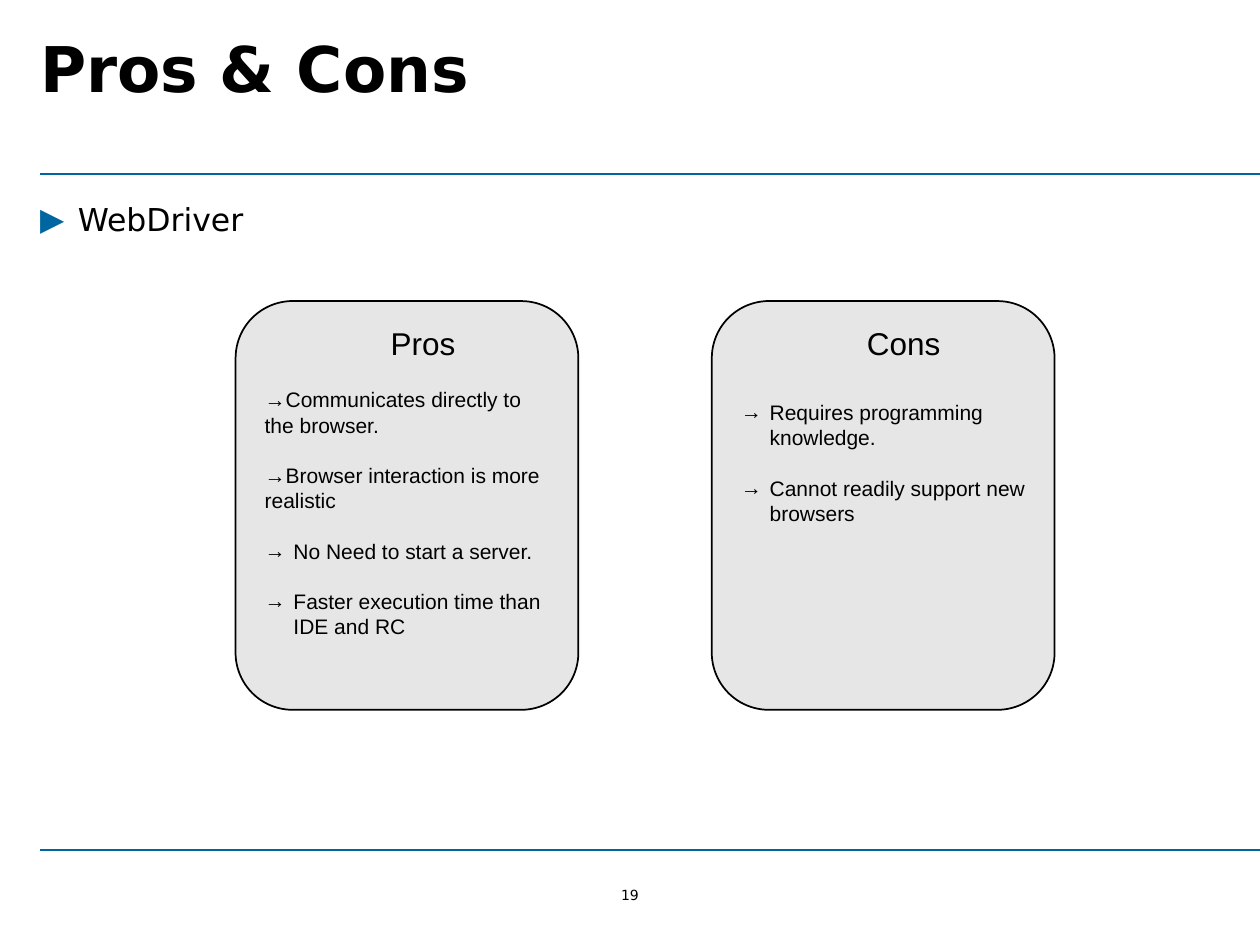
from lxml.etree import SubElement
from pptx import Presentation
from pptx.dml.color import RGBColor
from pptx.enum.shapes import MSO_CONNECTOR, MSO_SHAPE
from pptx.enum.text import MSO_ANCHOR, PP_ALIGN
from pptx.oxml.ns import qn
from pptx.util import Cm, Pt

BLUE = "0066A1"


def color(value):
    return RGBColor.from_string(value)


def add_text(paragraph, text, size, font="Arial", bold=False, before=0, left=0,
             hanging=0, bullet=None, bullet_color="000000", align=PP_ALIGN.LEFT):
    paragraph.alignment = align
    paragraph.space_before = Pt(before)
    run = paragraph.add_run()
    run.text = text
    run.font.size = Pt(size)
    run.font.name = font
    run.font.bold = bold
    run.font.color.rgb = color("000000")
    properties = paragraph._p.get_or_add_pPr()
    properties.set("marL", str(Cm(left)))
    properties.set("indent", str(-Cm(hanging)))
    if bullet:
        fill = SubElement(properties, qn("a:buClr"))
        SubElement(fill, qn("a:srgbClr"), val=bullet_color)
        SubElement(properties, qn("a:buFont"), typeface=font)
        SubElement(properties, qn("a:buChar"), char=bullet)


presentation = Presentation()
presentation.slide_width = Cm(25.4)
presentation.slide_height = Cm(19.05)
slide = presentation.slides.add_slide(presentation.slide_layouts[6])

for top in (3.5, 17.14):
    rule = slide.shapes.add_connector(
        MSO_CONNECTOR.STRAIGHT, Cm(0.81), Cm(top), Cm(25.4), Cm(top))
    rule.line.color.rgb = color(BLUE)
    rule.line.width = Pt(1.25)
    SubElement(rule._element.spPr, qn("a:effectLst"))

labels = [
    ("Pros & Cons", 0.81, 0.46, 24.1, 2.67, 0.13, MSO_ANCHOR.TOP,
     dict(size=36, bold=True)),
    ("WebDriver", 0.81, 4.04, 24.1, 12.6, 0, MSO_ANCHOR.TOP,
     dict(size=18, left=0.76, hanging=0.76, bullet="▶", bullet_color=BLUE)),
    ("19", 12.45, 17.88, 0.5, 0.33, 0, MSO_ANCHOR.MIDDLE,
     dict(size=8, align=PP_ALIGN.CENTER)),
]
for text, left, top, width, height, inset, anchor, style in labels:
    shape = slide.shapes.add_textbox(Cm(left), Cm(top), Cm(width), Cm(height))
    frame = shape.text_frame
    frame.word_wrap = True
    frame.vertical_anchor = anchor
    frame.margin_left = frame.margin_right = 0
    frame.margin_top = frame.margin_bottom = Cm(inset)
    add_text(frame.paragraphs[0], text, font="DejaVu Sans", **style)

cards = [
    ("Pros", 4.75, 14.4, [
        ("→Communicates directly to the browser.", False),
        ("→Browser interaction is more realistic", False),
        ("No Need to start a server.", True),
        ("Faster execution time than IDE and RC", True),
    ]),
    ("Cons", 14.35, 21.6, [
        ("Requires programming knowledge.", True),
        ("Cannot readily support new browsers", True),
    ]),
]
for heading, left, first_gap, points in cards:
    card = slide.shapes.add_shape(
        MSO_SHAPE.ROUNDED_RECTANGLE, Cm(left), Cm(6.07), Cm(6.91), Cm(8.24))
    card.shadow.inherit = False
    card.fill.solid()
    card.fill.fore_color.rgb = color("E6E6E6")
    card.line.color.rgb = color("000000")
    card.line.width = Pt(1)
    frame = card.text_frame
    frame.word_wrap = True
    frame.vertical_anchor = MSO_ANCHOR.TOP
    add_text(frame.paragraphs[0], heading, 18, left=2.54)
    for index, (text, bulleted) in enumerate(points):
        style = dict(left=0.58, hanging=0.58, bullet="→") if bulleted else {}
        add_text(frame.add_paragraph(), text, 12,
                 before=14.4 if index else first_gap, **style)

presentation.save("out.pptx")
